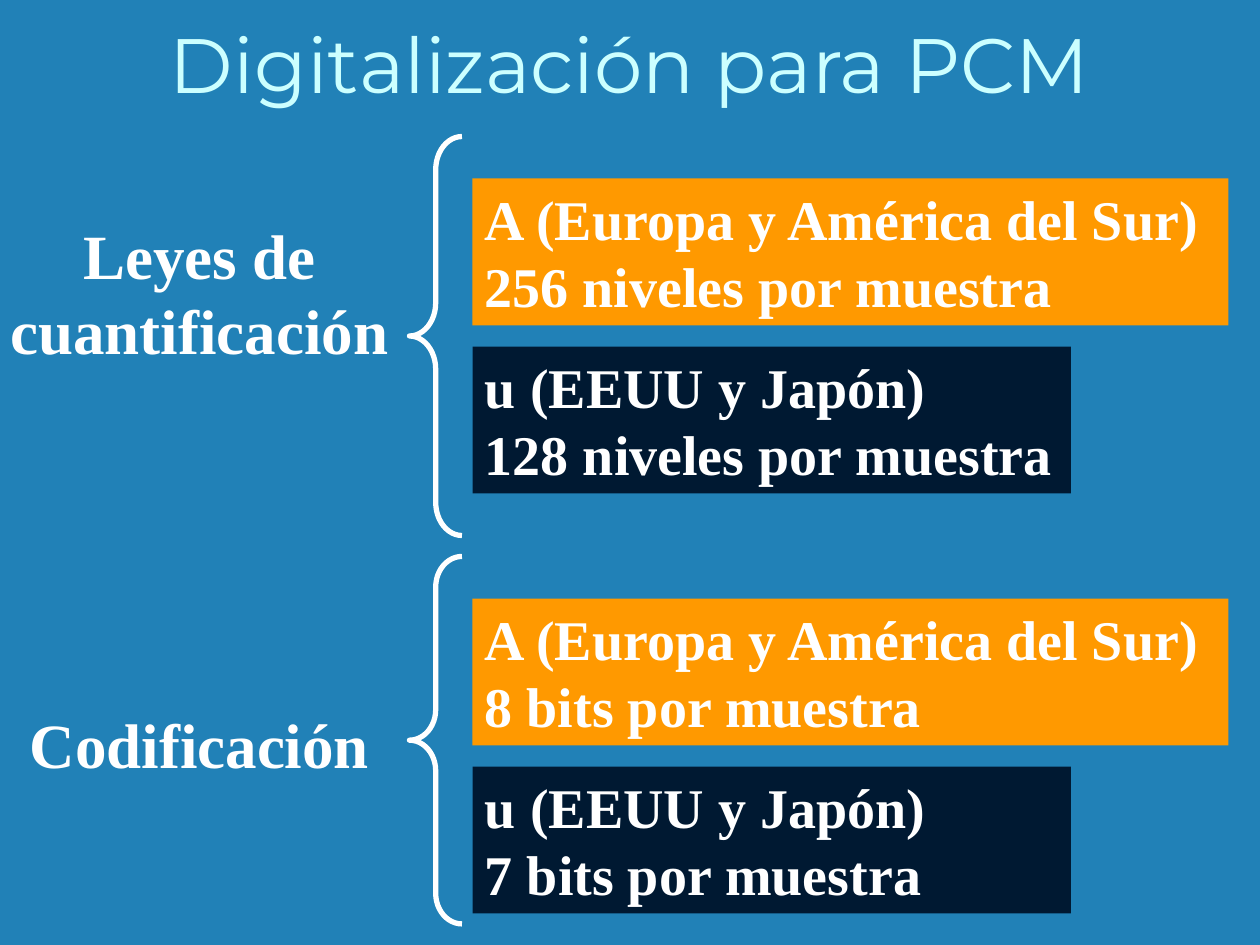
from pptx import Presentation
from pptx.dml.color import RGBColor
from pptx.enum.shapes import MSO_SHAPE
from pptx.enum.text import MSO_ANCHOR, MSO_AUTO_SIZE, PP_ALIGN
from pptx.util import Emu, Pt

PX = 7620  # 120 px to the inch
BLUE = RGBColor(0x21, 0x81, 0xB7)
PALE_CYAN = RGBColor(0xCC, 0xFF, 0xFF)
ORANGE = RGBColor(0xFF, 0x99, 0x00)
NAVY = RGBColor(0x00, 0x19, 0x32)
WHITE = RGBColor(0xFF, 0xFF, 0xFF)

BRACE_LEFT, BRACE_WIDTH = 390, 50
LAW_LEFT, LAW_HEIGHT = 450, 140
LAWS = [
    ("A (Europa y América del Sur)", 40, 720, ORANGE),
    ("u (EEUU y Japón)", 200, 570, NAVY),
]


def px(*lengths):
    return [Emu(length * PX) for length in lengths]


def write(shape, text, size, font="Times New Roman", color=WHITE, bold=True,
          align=PP_ALIGN.LEFT, anchor=MSO_ANCHOR.TOP):
    frame = shape.text_frame
    frame.word_wrap = True
    frame.auto_size = MSO_AUTO_SIZE.NONE
    frame.vertical_anchor = anchor
    paragraph = frame.paragraphs[0]
    paragraph.text = text
    paragraph.alignment = align
    for run in paragraph.runs:
        run.font.name = font
        run.font.size = Pt(size)
        run.font.bold = bold
        run.font.color.rgb = color


def add_title(slide, left, top, width, height):
    title = slide.shapes.title
    title.left, title.top, title.width, title.height = px(left, top, width, height)
    write(title, "Digitalización para PCM", 44, font="Montserrat", color=PALE_CYAN,
          bold=False, align=PP_ALIGN.CENTER, anchor=MSO_ANCHOR.BOTTOM)


def add_brace(slide, left, top, width, height):
    brace = slide.shapes.add_shape(MSO_SHAPE.LEFT_BRACE, *px(left, top, width, height))
    brace.shadow.inherit = False
    brace.adjustments[0] = height / 12 / width
    brace.fill.background()
    brace.line.color.rgb = WHITE
    brace.line.width = Pt(3)


def add_law(slide, text, left, top, width, color):
    box = slide.shapes.add_shape(MSO_SHAPE.RECTANGLE, *px(left, top, width, LAW_HEIGHT))
    box.shadow.inherit = False
    box.fill.solid()
    box.fill.fore_color.rgb = color
    box.line.fill.background()
    write(box, text, 32)


def add_group(slide, top, height, label, label_offset, label_height, details):
    """Place a label, its brace and one box per law."""
    label_box = slide.shapes.add_textbox(*px(-10, top + label_offset, 400, label_height))
    write(label_box, label, 36, align=PP_ALIGN.CENTER)
    add_brace(slide, BRACE_LEFT, top, BRACE_WIDTH, height)
    for (law, offset, width, color), detail in zip(LAWS, details):
        add_law(slide, f"{law}\v{detail}", LAW_LEFT, top + offset, width, color)


def main():
    presentation = Presentation()
    presentation.slide_width, presentation.slide_height = px(1200, 900)
    slide = presentation.slides.add_slide(presentation.slide_layouts[5])
    slide.background.fill.solid()
    slide.background.fill.fore_color.rgb = BLUE

    add_title(slide, 90, 10, 1020, 100)
    add_group(slide, 130, 380, "Leyes de cuantificación", 70, 156,
              ["256 niveles por muestra", "128 niveles por muestra"])
    add_group(slide, 530, 350, "Codificación", 136, 84,
              ["8 bits por muestra", "7 bits por muestra"])
    presentation.save("out.pptx")


if __name__ == "__main__":
    main()
